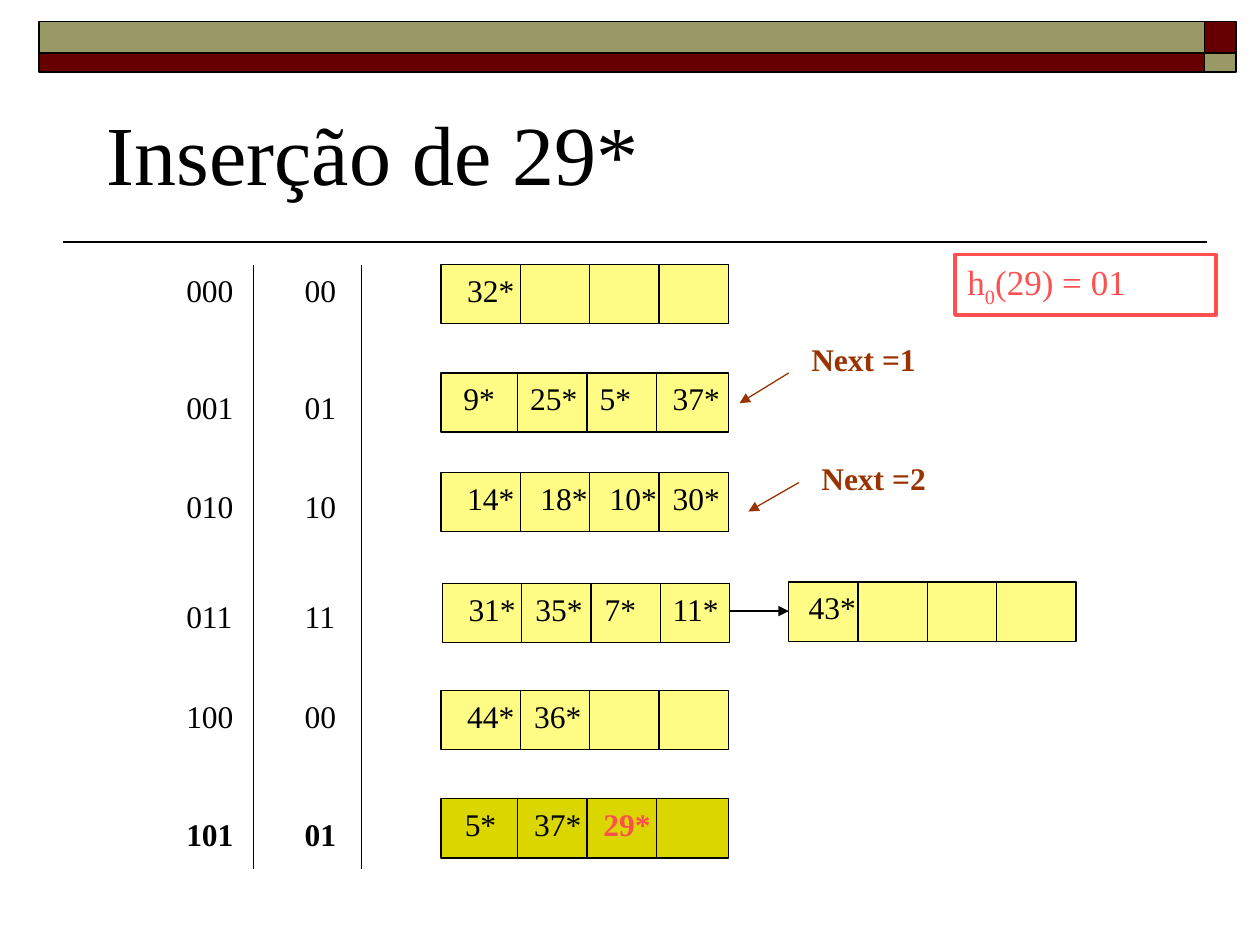
from lxml import etree
from pptx import Presentation
from pptx.dml.color import RGBColor
from pptx.enum.shapes import MSO_CONNECTOR, MSO_SHAPE
from pptx.enum.text import MSO_ANCHOR, PP_ALIGN
from pptx.oxml.ns import qn
from pptx.util import Inches, Pt

RECTANGLE = MSO_SHAPE.RECTANGLE
STRAIGHT = MSO_CONNECTOR.STRAIGHT
TOP, LEFT = MSO_ANCHOR.TOP, PP_ALIGN.LEFT

BLACK = RGBColor(0x00, 0x00, 0x00)
MAROON = RGBColor(0x66, 0x00, 0x00)
OLIVE = RGBColor(0x99, 0x99, 0x66)
YELLOW = RGBColor(0xFF, 0xFC, 0x85)
GOLD = RGBColor(0xDB, 0xD6, 0x00)
RUST = RGBColor(0x99, 0x33, 0x00)
CORAL = RGBColor(0xFF, 0x50, 0x50)
FONT = "Times New Roman"

TITLE = "Inserção de 29*"
HASH_RUNS = [("h", False), ("0", True), ("(29) = 01", False)]

# (level 1 bits, level 0 bits, top, bold)
LABELS = [
    ("000", "00", 2.1, False),
    ("001", "01", 3.03, False),
    ("010", "10", 3.82, False),
    ("011", "11", 4.69, False),
    ("100", "00", 5.48, False),
    ("101", "01", 6.42, True),
]
LABEL_LEFTS = (1.38, 2.32)
RULE_LEFTS = (2.01, 2.87)
RULE_TOP, RULE_BOTTOM = 2.1, 6.9

# (left, top, first divider offset, fill, [(entry, offset from bucket left)])
BUCKETS = [
    (3.5, 2.1, 0.63, YELLOW, [("32*", 0.11)]),
    (3.5, 2.96, 0.61, YELLOW,
     [("9*", 0.08), ("25*", 0.61), ("5*", 1.16), ("37*", 1.74)]),
    (3.5, 3.75, 0.63, YELLOW,
     [("14*", 0.11), ("18*", 0.69), ("10*", 1.24), ("30*", 1.74)]),
    (3.51, 4.63, 0.63, YELLOW,
     [("31*", 0.11), ("35*", 0.64), ("7*", 1.19), ("11*", 1.73)]),
    (6.26, 4.62, 0.55, YELLOW, [("43*", 0.06)]),
    (3.5, 5.48, 0.63, YELLOW, [("44*", 0.11), ("36*", 0.64)]),
    (3.5, 6.34, 0.61, GOLD, [("5*", 0.09), ("37*", 0.64), ("29*", 1.19)]),
]
NEW_ENTRY = "29*"
BUCKET_WIDTH, BUCKET_HEIGHT, CELL_WIDTH = 2.28, 0.47, 0.55

# (text, left, top, arrow start, arrow end)
POINTERS = [
    ("Next =1", 6.34, 2.65, (6.26, 2.96), (5.87, 3.2)),
    ("Next =2", 6.42, 3.59, (6.34, 3.83), (5.94, 4.06)),
]

BAND_COLUMNS = [(0.31, 9.25), (9.56, 0.25)]
BAND_ROWS = [(0.17, 0.25), (0.42, 0.15)]
BAND_FILLS = [[OLIVE, MAROON], [MAROON, OLIVE]]


def add_box(slide, left, top, width, height, fill, line=BLACK, weight=0.75):
    box = slide.shapes.add_shape(
        RECTANGLE, Inches(left), Inches(top), Inches(width), Inches(height))
    box.shadow.inherit = False
    if fill is None:
        box.fill.background()
    else:
        box.fill.solid()
        box.fill.fore_color.rgb = fill
    box.line.color.rgb = line
    box.line.width = Pt(weight)
    return box


def add_line(slide, start, end, color=BLACK, weight=0.75, arrow=False):
    line = slide.shapes.add_connector(
        STRAIGHT, *(Inches(value) for value in (*start, *end)))
    line.line.color.rgb = color
    line.line.width = Pt(weight)
    if arrow:
        outline = line.line._get_or_add_ln()
        etree.SubElement(outline, qn("a:tailEnd"), type="triangle")
    etree.SubElement(line._element.spPr, qn("a:effectLst"))


def set_font(para, size, color, bold=False):
    para.font.name = FONT
    para.font.size = Pt(size)
    para.font.color.rgb = color
    para.font.bold = bold


def add_text(slide, text, left, top, width=None, height=0.4, size=18,
             color=BLACK, bold=False):
    """Add one line of text; by default the box fits a string of digits."""
    width = width or 0.2 + 0.125 * len(text)
    box = slide.shapes.add_textbox(
        Inches(left), Inches(top), Inches(width), Inches(height))
    box.text_frame.word_wrap = False
    para = box.text_frame.paragraphs[0]
    para.text = text
    set_font(para, size, color, bold)


def add_bucket(slide, left, top, first_divider, fill, entries):
    add_box(slide, left, top, BUCKET_WIDTH, BUCKET_HEIGHT, fill)
    for index in range(3):
        x = left + first_divider + index * CELL_WIDTH
        add_line(slide, (x, top), (x, top + BUCKET_HEIGHT))
    for entry, offset in entries:
        is_new = entry == NEW_ENTRY
        add_text(slide, entry, left + offset, top,
                 color=CORAL if is_new else BLACK, bold=is_new)


def add_hash_box(slide):
    box = add_box(slide, 7.58, 2.02, 2.07, 0.48, None, CORAL, 2.25)
    frame = box.text_frame
    frame.word_wrap = True
    frame.vertical_anchor = TOP
    para = frame.paragraphs[0]
    para.alignment = LEFT
    set_font(para, 20, CORAL)
    for text, subscript in HASH_RUNS:
        span = para.add_run()
        span.text = text
        if subscript:
            span.font._element.set("baseline", "-25000")


def main():
    deck = Presentation()
    deck.slide_width, deck.slide_height = Inches(10), Inches(7.5)
    slide = deck.slides.add_slide(deck.slide_layouts[6])

    add_line(slide, (0.5, 1.92), (9.58, 1.92), weight=1)
    for (top, height), fills in zip(BAND_ROWS, BAND_FILLS):
        for (left, width), fill in zip(BAND_COLUMNS, fills):
            add_box(slide, left, top, width, height, fill, weight=1)
    add_text(slide, TITLE, 0.75, 0.76, 4.42, 0.9, size=48)

    for x in RULE_LEFTS:
        add_line(slide, (x, RULE_TOP), (x, RULE_BOTTOM))
    for *bits, top, bold in LABELS:
        for text, left in zip(bits, LABEL_LEFTS):
            add_text(slide, text, left, top, bold=bold)

    for bucket in BUCKETS:
        add_bucket(slide, *bucket)
    add_line(slide, (5.79, 4.85), (6.26, 4.85), arrow=True)

    for text, left, top, start, end in POINTERS:
        add_text(slide, text, left, top, 1.09, color=RUST, bold=True)
        add_line(slide, start, end, RUST, arrow=True)
    add_hash_box(slide)

    deck.save("out.pptx")


if __name__ == "__main__":
    main()
